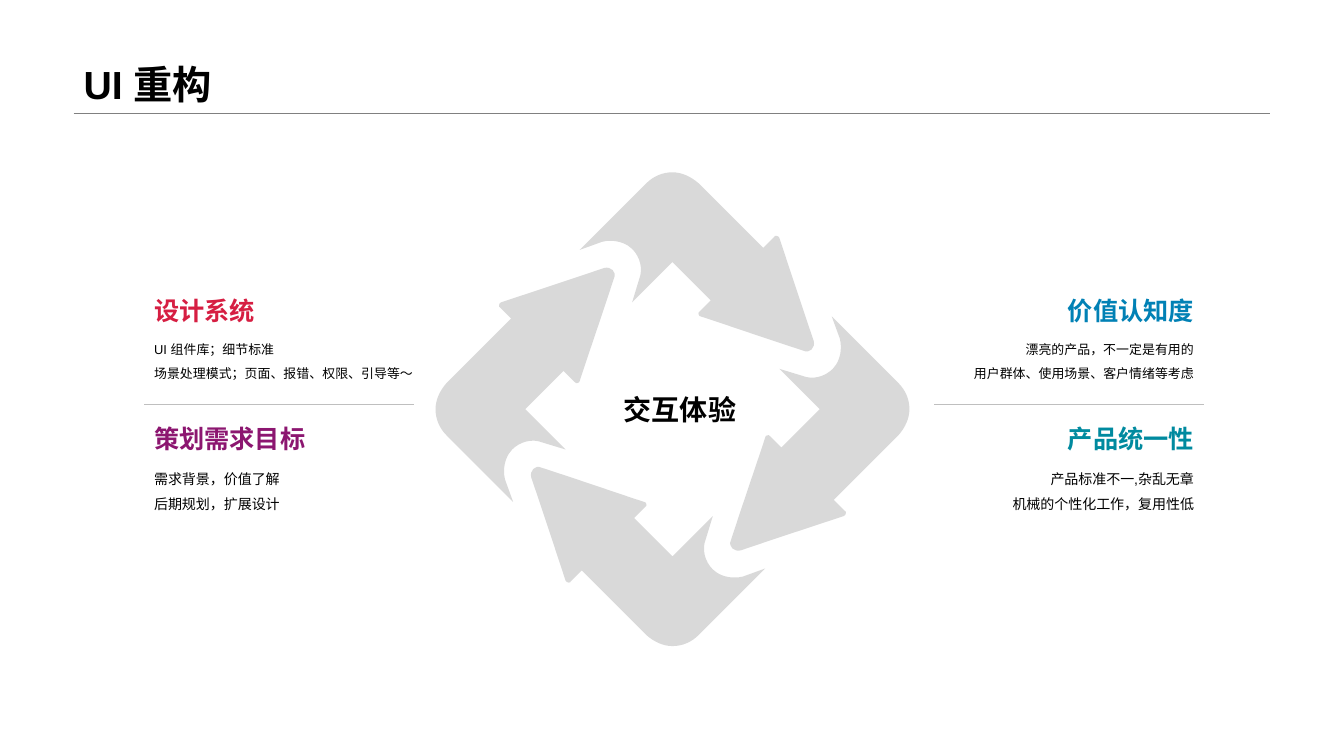
from lxml import etree
from pptx import Presentation
from pptx.dml.color import RGBColor
from pptx.enum.shapes import MSO_CONNECTOR
from pptx.enum.text import MSO_ANCHOR, PP_ALIGN
from pptx.oxml.ns import qn
from pptx.util import Inches, Pt

SLIDE_W, SLIDE_H = 13.33, 7.5
# The slide is a grid of 100 columns by 100 rows
COLUMN, ROW = Inches(SLIDE_W) / 100, Inches(SLIDE_H) / 100

BLACK, CYCLE_GREY = "000000", "D9D9D9"
TITLE_RULE, TOPIC_RULE = "808080", "BFBFBF"
TOPIC_WIDTH, HEADING_HEIGHT, DETAIL_HEIGHT = 18, 5.07, 8.13
TOPIC_TOP, TOPIC_PITCH, DETAIL_OFFSET = 38.4, 16.93, 5.17

# Each side: left column, rule start, rule end, alignment, topics from the top
# Each topic: heading, colour, detail lines, detail size, detail width
SIDES = [
    (10.73, 10.73, 30.83, PP_ALIGN.LEFT, [
        ("设计系统", "D61E42",
         ["UI 组件库；细节标准", "场景处理模式；页面、报错、权限、引导等～"], 9.2, 21.6),
        ("策划需求目标", "8C1670",
         ["需求背景，价值了解", "后期规划，扩展设计"], 10, TOPIC_WIDTH),
    ]),
    (71.57, 69.52, 89.57, PP_ALIGN.RIGHT, [
        ("价值认知度", "0181B5",
         ["漂亮的产品，不一定是有用的", "用户群体、使用场景、客户情绪等考虑"], 9.2, TOPIC_WIDTH),
        ("产品统一性", "008A9F",
         ["产品标准不一,杂乱无章", "机械的个性化工作，复用性低"], 10, TOPIC_WIDTH),
    ]),
]

# Top arrow of the cycle, in inches from the cycle's centre:
# one point draws a straight edge, three points draw a Bézier curve
CYCLE_CENTRE = (6.67, 4.06)
ARROW_START = (0, -2.35)
ARROW_EDGES = [
    [(0.09, -2.35), (0.18, -2.31), (0.26, -2.24)],
    [(0.9, -1.6)],
    [(1.01, -1.71)],
    [(1.01, -1.72), (1.02, -1.72), (1.03, -1.72)],
    [(1.05, -1.72), (1.05, -1.71), (1.06, -1.7)],
    [(1.09, -1.61), (1.29, -1), (1.4, -0.68)],
    [(1.42, -0.61), (1.36, -0.55), (1.3, -0.58)],
    [(0.87, -0.72), (0.38, -0.89), (0.28, -0.92)],
    [(0.27, -0.92), (0.26, -0.93), (0.26, -0.94)],
    [(0.25, -0.95), (0.26, -0.96), (0.27, -0.97)],
    [(0.38, -1.08)],
    [(0, -1.46)],
    [(-0.4, -1.06)],
    [(-0.33, -1.29)],
    [(-0.29, -1.39), (-0.32, -1.51), (-0.4, -1.59)],
    [(-0.45, -1.64), (-0.53, -1.67), (-0.61, -1.67)],
    [(-0.64, -1.67), (-0.67, -1.67), (-0.7, -1.66)],
    [(-0.92, -1.58)],
    [(-0.26, -2.24)],
    [(-0.19, -2.31), (-0.1, -2.35), ARROW_START],
]
ARROW_COUNT = 4


def color(hex_code):
    return RGBColor.from_string(hex_code)


def add_text(slide, place, lines, size, hex_code=BLACK, bold=False, wrap=True,
             align=PP_ALIGN.LEFT, anchor=MSO_ANCHOR.TOP, spacing=None):
    left, top, width, height = place
    box = slide.shapes.add_textbox(round(left * COLUMN), round(top * ROW),
                                   round(width * COLUMN), round(height * ROW))
    frame = box.text_frame
    frame.word_wrap = wrap
    frame.vertical_anchor = anchor
    frame.text = "\n".join(lines)
    for paragraph in frame.paragraphs:
        paragraph.alignment = align
        paragraph.line_spacing = spacing
        for run in paragraph.runs:
            run.font.name = "Arial"
            run.font.size = Pt(size)
            run.font.bold = bold
            run.font.color.rgb = color(hex_code)


def add_rule(slide, start, end, row, hex_code, weight):
    y = round(row * ROW)
    rule = slide.shapes.add_connector(MSO_CONNECTOR.STRAIGHT, round(start * COLUMN), y,
                                      round(end * COLUMN), y)
    rule.line.color.rgb = color(hex_code)
    rule.line.width = Pt(weight)
    etree.SubElement(rule.element.spPr, qn("a:effectLst"))


def bend_curves(cycle):
    """Join each curve's three straight segments into one Bézier segment."""
    segments = iter(list(cycle.element.iter(qn("a:lnTo"))))
    for edge in ARROW_EDGES * ARROW_COUNT:
        parts = [next(segments) for _ in edge]
        if len(parts) == 3:
            curve = etree.Element(qn("a:cubicBezTo"))
            parts[0].addprevious(curve)
            for part in parts:
                curve.append(part[0])
                part.getparent().remove(part)


def add_cycle(slide):
    centre_x, centre_y = CYCLE_CENTRE
    arrow = [ARROW_START] + [point for edge in ARROW_EDGES for point in edge]
    builder = None
    for _ in range(ARROW_COUNT):
        outline = [(Inches(centre_x + x), Inches(centre_y + y)) for x, y in arrow]
        if builder is None:
            builder = slide.shapes.build_freeform(*outline[0])
        else:
            builder.move_to(*outline[0])
        builder.add_line_segments(outline[1:], close=True)
        # A quarter turn clockwise gives the next arrow
        arrow = [(-y, x) for x, y in arrow]
    cycle = builder.convert_to_shape()
    bend_curves(cycle)
    cycle.shadow.inherit = False
    cycle.fill.solid()
    cycle.fill.fore_color.rgb = color(CYCLE_GREY)
    cycle.line.fill.background()


def add_topic(slide, left, top, align, topic):
    heading, hex_code, details, size, detail_width = topic
    add_text(slide, (left, top, TOPIC_WIDTH, HEADING_HEIGHT), [heading], 18, hex_code,
             bold=True, wrap=False, align=align)
    add_text(slide, (left, top + DETAIL_OFFSET, detail_width, DETAIL_HEIGHT), details, size,
             align=align, spacing=1.5)


def main():
    deck = Presentation()
    deck.slide_width, deck.slide_height = Inches(SLIDE_W), Inches(SLIDE_H)
    slide = deck.slides.add_slide(deck.slide_layouts[6])

    # Title and its rule
    add_rule(slide, 5.48, 94.52, 14.93, TITLE_RULE, 0.25)
    add_text(slide, (5.48, 0, 89.04, 14.93), ["UI 重构"], 28, bold=True,
             anchor=MSO_ANCHOR.BOTTOM, spacing=0.9)

    # Cycle of four arrows around its label
    add_cycle(slide)
    add_text(slide, (44.71, 50.4, 11.78, 7.6), ["交互体验"], 20, bold=True, wrap=False,
             align=PP_ALIGN.CENTER, anchor=MSO_ANCHOR.MIDDLE)

    # Two topics on each side, parted by a rule
    for left, rule_start, rule_end, align, topics in SIDES:
        add_rule(slide, rule_start, rule_end, 53.47, TOPIC_RULE, 0.5)
        for index, topic in enumerate(topics):
            add_topic(slide, left, TOPIC_TOP + index * TOPIC_PITCH, align, topic)

    deck.save("out.pptx")


if __name__ == "__main__":
    main()
